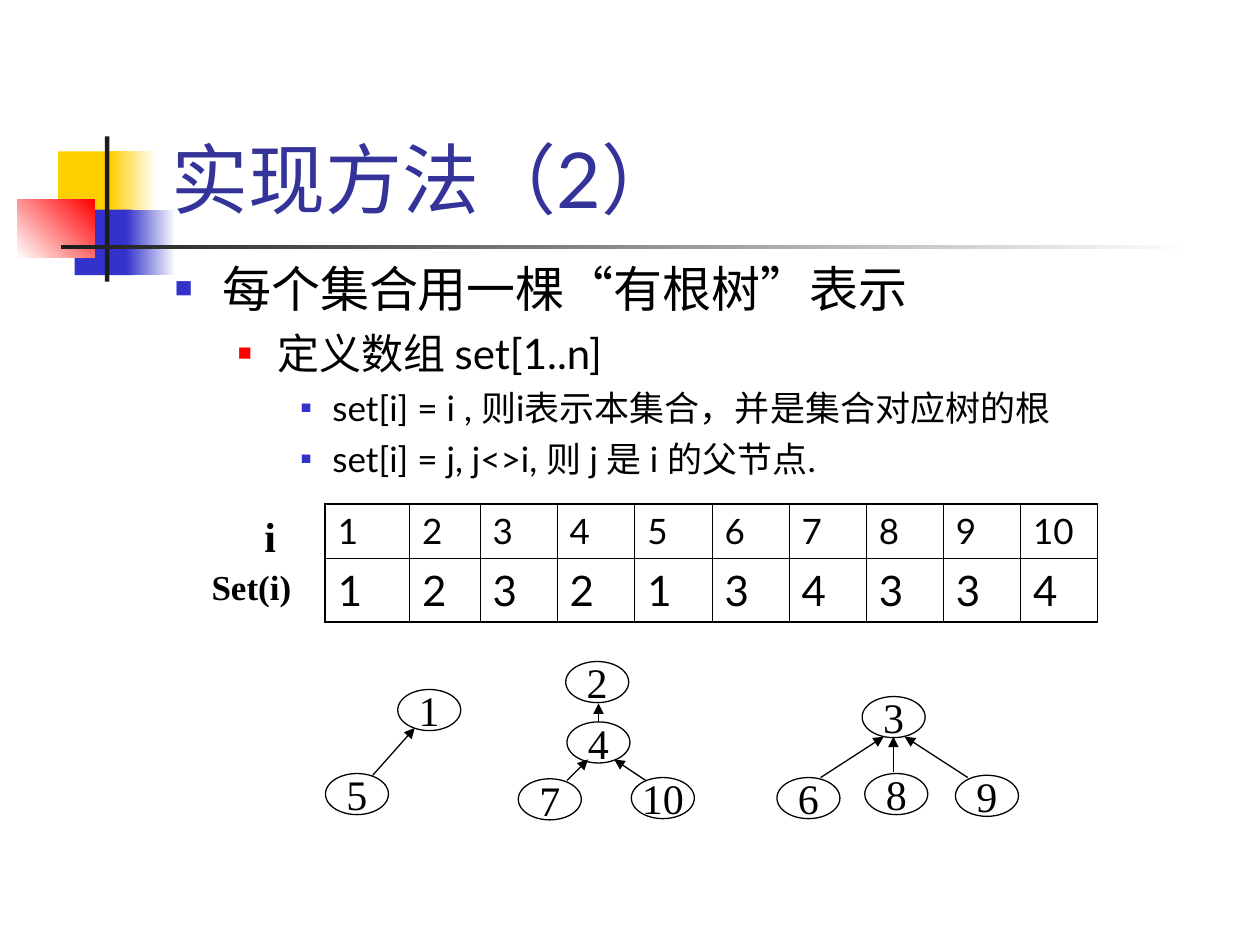
from lxml import etree
from pptx import Presentation
from pptx.dml.color import RGBColor
from pptx.enum.shapes import MSO_CONNECTOR as Connector, MSO_SHAPE as Shape
from pptx.enum.text import MSO_ANCHOR as Anchor, PP_ALIGN as Align
from pptx.oxml import parse_xml
from pptx.oxml.ns import nsdecls, qn
from pptx.util import Pt

BLACK = RGBColor(0x00, 0x00, 0x00)
WHITE = RGBColor(0xFF, 0xFF, 0xFF)
CHARCOAL = RGBColor(0x1C, 0x1C, 0x1C)
YELLOW = RGBColor(0xFF, 0xCF, 0x01)
BLUE = RGBColor(0x33, 0x33, 0xCC)
RED = RGBColor(0xFF, 0x00, 0x00)
TITLE_BLUE = RGBColor(0x33, 0x33, 0x99)
SANS, SERIF = "Lato", "Times New Roman"


def write(paragraph, text, size=24, font=SANS, color=BLACK, bold=False):
    run = paragraph.add_run()
    run.text = text
    run.font.size = Pt(size)
    run.font.name = font
    run.font.color.rgb = color
    run.font.bold = bold


def add_text_frame(left, top, width, height):
    box = slide.shapes.add_textbox(Pt(left), Pt(top), Pt(width), Pt(height))
    box.text_frame.word_wrap = True
    return box.text_frame


presentation = Presentation()
presentation.slide_width, presentation.slide_height = Pt(720), Pt(540)
slide = presentation.slides.add_slide(presentation.slide_layouts[6])

# Corner decoration: one colour is solid, two colours are a gradient
decoration = [
    (33.2, 86.5, 34.5, 37.5, [YELLOW], 0),
    (63, 86.5, 26, 37.5, [YELLOW, WHITE], 0),
    (42.7, 119.75, 33, 37.5, [BLUE], 0),
    (72, 119.75, 28.5, 37.5, [BLUE, WHITE], 0),
    (10, 113.75, 44, 33.5, [WHITE, RED], 45),
    (60, 78, 2.5, 83, [CHARCOAL], 0),
    (34.8, 140, 648, 2.5, [CHARCOAL, WHITE], 0),
]
for left, top, width, height, colors, angle in decoration:
    block = slide.shapes.add_shape(Shape.RECTANGLE, Pt(left), Pt(top), Pt(width), Pt(height))
    block.shadow.inherit = False
    block.line.fill.background()
    if len(colors) == 1:
        block.fill.solid()
        block.fill.fore_color.rgb = colors[0]
    else:
        block.fill.gradient()
        block.fill.gradient_angle = angle
        for stop, color in zip(block.fill.gradient_stops, colors):
            stop.color.rgb = color

# Title
title_frame = add_text_frame(90.7, 16.5, 613.5, 115.2)
title_frame.vertical_anchor = Anchor.BOTTOM
write(title_frame.paragraphs[0], "实现方法（2）", size=44, color=TITLE_BLUE)

# Bulleted text: size, space before, margin, hanging indent, bullet colour and percent
levels = [
    (28, 0, 27, 27, BLUE, 60),
    (24, 6, 58.5, 22.5, RED, 55),
    (20, 5, 90, 18, BLUE, 50),
]
body_lines = [
    (0, [("每个集合用一棵", SANS), ("“", SERIF), ("有根树", SANS), ("”", SERIF), ("表示", SANS)]),
    (1, [("定义数组 set[1..n]", SANS)]),
    (2, [("set[i] = i , 则i表示本集合，并是集合对应树的根", SANS)]),
    (2, [("set[i] = j, j<>i, 则 j 是 i 的父节点.", SANS)]),
]
body_frame = add_text_frame(92.9, 144, 555, 138)
for index, (level, runs) in enumerate(body_lines):
    paragraph = body_frame.paragraphs[0] if index == 0 else body_frame.add_paragraph()
    size, space, margin, hanging, color, percent = levels[level]
    properties = paragraph._p.get_or_add_pPr()
    properties.set("marL", str(Pt(margin)))
    properties.set("indent", str(-Pt(hanging)))
    bullet_color = etree.SubElement(properties, qn("a:buClr"))
    etree.SubElement(bullet_color, qn("a:srgbClr"), val=str(color))
    etree.SubElement(properties, qn("a:buSzPct"), val=str(percent * 1000))
    etree.SubElement(properties, qn("a:buFont"), typeface=SERIF)
    etree.SubElement(properties, qn("a:buChar"), char="■")
    paragraph.level = level
    paragraph.space_before = Pt(space)
    for text, font in runs:
        write(paragraph, text, size=size, font=font)

# Array table: index row above parent row
parents = [1, 2, 3, 2, 1, 3, 4, 3, 3, 4]
table_rows = [(range(1, 11), 20, 31), (parents, 24, 36)]
column_widths = [48.3, 40.3, 43.9, 44.5] + [44.1] * 6
table = slide.shapes.add_table(
    2, 10, Pt(185.8), Pt(288), Pt(sum(column_widths)), Pt(67)).table
table.first_row = table.horz_banding = False
for column, width in zip(table.columns, column_widths):
    column.width = Pt(width)
for row, (values, size, height) in zip(table.rows, table_rows):
    row.height = Pt(height)
    for index, (cell, value) in enumerate(zip(row.cells, values)):
        write(cell.text_frame.paragraphs[0], str(value), size=size)
        left_width = 1.08 if index == 0 else 0.45
        right_width = 1.08 if index == 9 else 0.45
        borders = [("lnL", left_width), ("lnR", right_width), ("lnT", 1.08), ("lnB", 1.08)]
        for side, width in borders:
            cell._tc.get_or_add_tcPr().append(parse_xml(
                f'<a:{side} {nsdecls("a")} w="{Pt(width)}"><a:solidFill>'
                f'<a:srgbClr val="{BLACK}"/></a:solidFill></a:{side}>'))
        cell.fill.background()

# Row labels
for text, size, left, top, width, height in [
    ("i", 24, 144, 288, 21, 36),
    ("Set(i)", 20, 113.8, 319.5, 66, 31.5),
]:
    label_frame = add_text_frame(left, top, width, height)
    write(label_frame.paragraphs[0], text, size=size, font=SERIF, bold=True)

# Tree nodes
nodes = [
    (1, 227.3, 394), (5, 186, 442),
    (2, 323.3, 378), (4, 324, 412.5), (7, 296.2, 445), (10, 360.8, 444.3),
    (3, 492.7, 398), (6, 444, 444.3), (8, 494.2, 442), (9, 546, 443),
]
for number, left, top in nodes:
    node = slide.shapes.add_shape(Shape.OVAL, Pt(left), Pt(top), Pt(36), Pt(23.5))
    node.shadow.inherit = False
    node.fill.solid()
    node.fill.fore_color.rgb = WHITE
    node.line.color.rgb = BLACK
    node.line.width = Pt(0.75)
    node.text_frame.word_wrap = False
    node.text_frame.vertical_anchor = Anchor.MIDDLE
    paragraph = node.text_frame.paragraphs[0]
    paragraph.alignment = Align.CENTER
    write(paragraph, str(number), font=SERIF)

# Arrows from child to parent
arrows = [
    (213, 443, 237, 416),
    (324, 446, 336, 434), (369, 446, 351, 434), (342, 412.5, 342, 402),
    (469, 444.3, 505, 421), (510.5, 441, 510.5, 421), (553, 444.3, 517, 421),
]
for ends in arrows:
    arrow = slide.shapes.add_connector(Connector.STRAIGHT, *map(Pt, ends))
    arrow.line.color.rgb = BLACK
    arrow.line.width = Pt(0.75)
    etree.SubElement(arrow.line._get_or_add_ln(), qn("a:tailEnd"), type="triangle")
    etree.SubElement(arrow._element.spPr, qn("a:effectLst"))

presentation.save("out.pptx")
